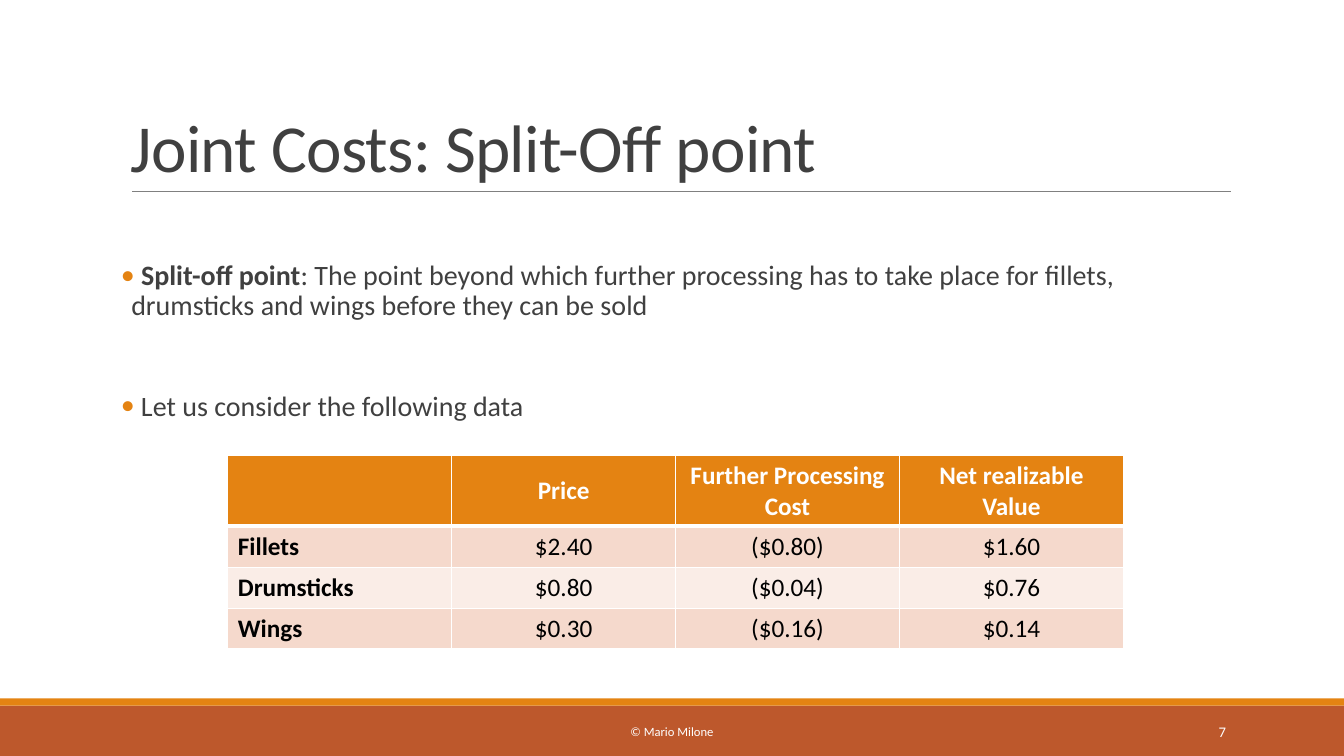
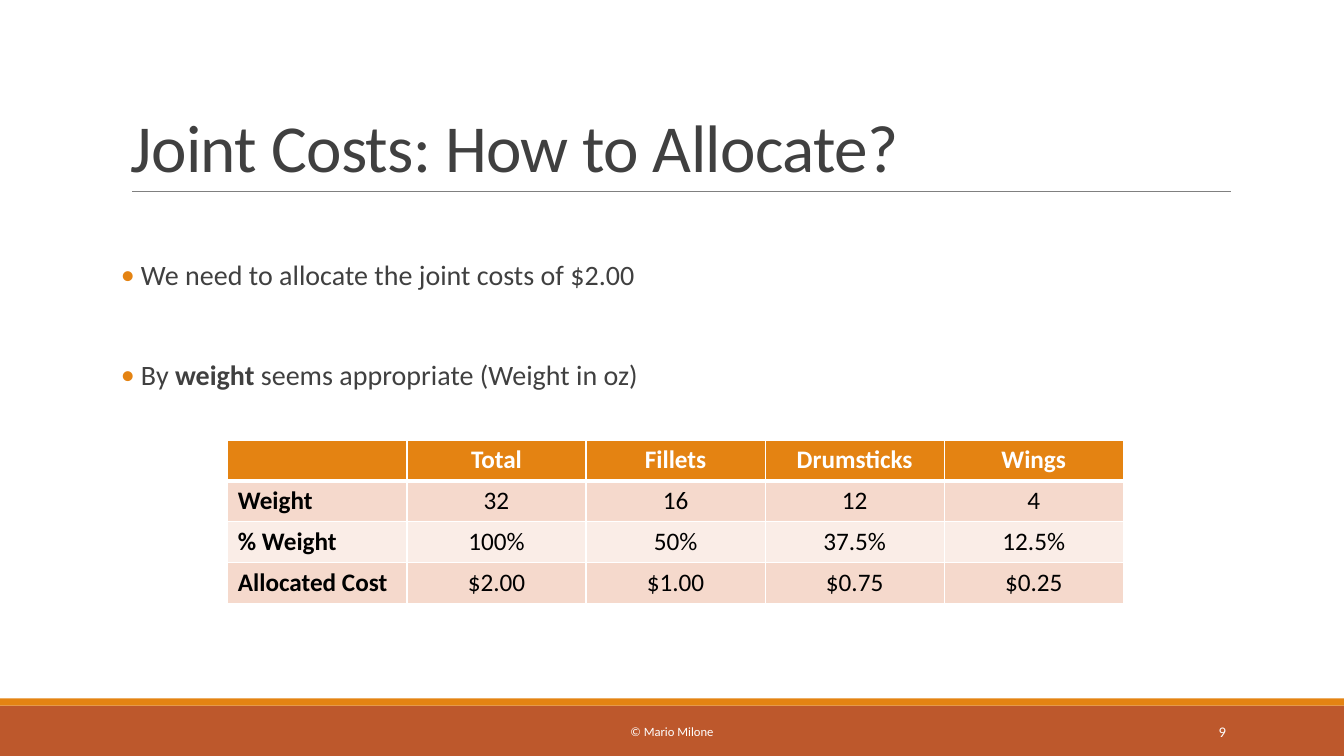
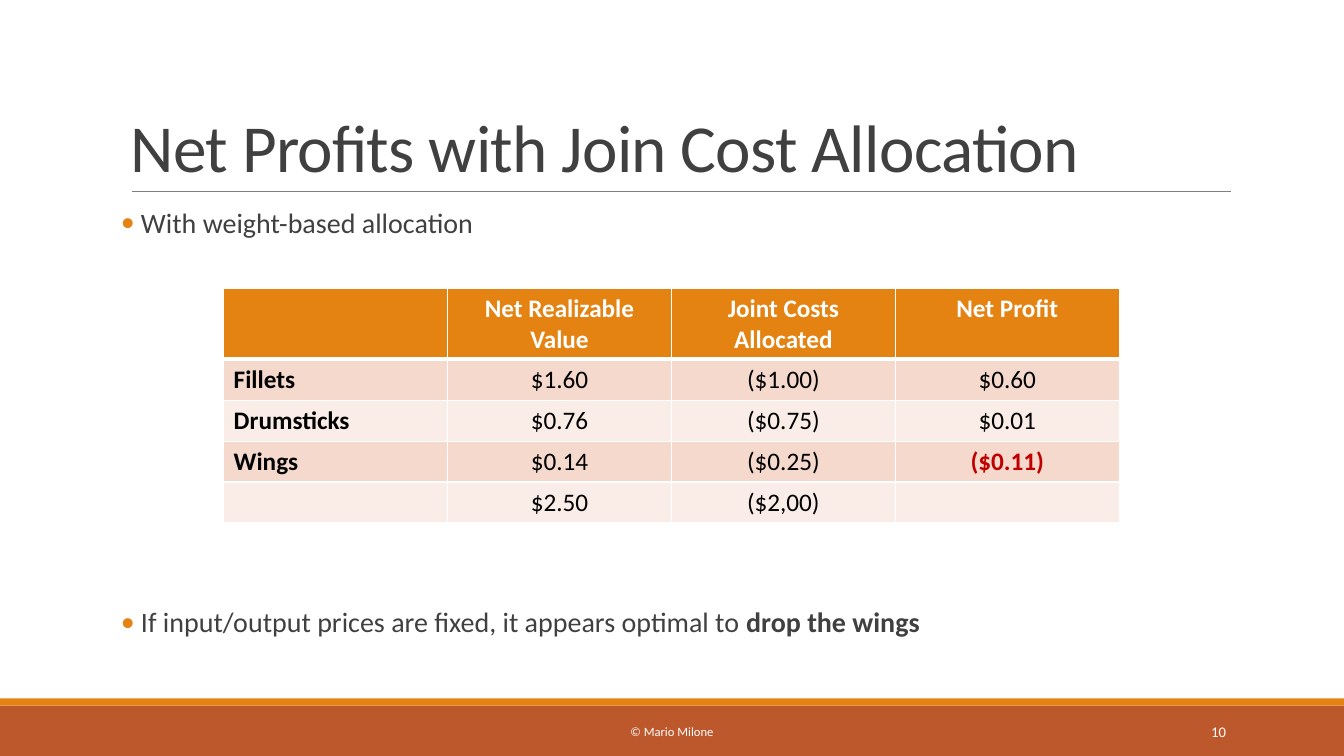
"""Builds three slides on joint costs, each with bullets and a table."""
from lxml.etree import SubElement
from pptx import Presentation
from pptx.dml.color import RGBColor
from pptx.enum.shapes import MSO_CONNECTOR, MSO_SHAPE
from pptx.enum.text import MSO_ANCHOR, MSO_AUTO_SIZE, PP_ALIGN
from pptx.oxml.ns import qn
from pptx.util import Emu, Pt

PX = 9525
FONT = "Calibri"
ORANGE, RUST, GRAY, INK = "E48312", "BD582C", "808080", "404040"
WHITE, BLACK, RED = "FFFFFF", "000000", "C00000"
BANDS = ("F5D9CC", "FAEDE7")
TABLE_WIDTH, ROW_HEIGHT = 853, 39
BODY_BOTTOM = 616


def px(length):
    return Emu(length * PX)


def color(code):
    return RGBColor.from_string(code)


def style(font, size, code, bold=False):
    font.name, font.size, font.bold = FONT, Pt(size), bold
    font.color.rgb = color(code)


def place(shape, left, top, width, height):
    shape.left, shape.top = px(left), px(top)
    shape.width, shape.height = px(width), px(height)


def add_band(page, top, height, code):
    band = page.shapes.add_shape(MSO_SHAPE.RECTANGLE, 0, px(top), px(1280), px(height))
    band.shadow.inherit = False
    band.fill.solid()
    band.fill.fore_color.rgb = color(code)
    band.line.fill.background()


def add_rule(page):
    rule = page.shapes.add_connector(
        MSO_CONNECTOR.STRAIGHT, px(126), px(182), px(1172), px(182))
    rule.line.color.rgb = color(GRAY)
    rule.line.width = Pt(0.5)
    SubElement(rule._element.spPr, qn("a:effectLst"))


def add_footer(page, left, width, text, size, alignment):
    box = page.shapes.add_textbox(px(left), px(678), px(width), px(38))
    frame = box.text_frame
    frame.word_wrap = True
    frame.vertical_anchor = MSO_ANCHOR.MIDDLE
    para = frame.paragraphs[0]
    para.text = text
    para.alignment = alignment
    style(para.font, size, WHITE)


def set_title(page, text):
    title = page.shapes.title
    place(title, 115, 30, 1056, 152)
    frame = title.text_frame
    frame.auto_size = MSO_AUTO_SIZE.NONE
    frame.vertical_anchor = MSO_ANCHOR.BOTTOM
    para = frame.paragraphs[0]
    para.alignment = PP_ALIGN.LEFT
    para.line_spacing = 0.85
    style(para.font, 48, INK)
    span = para.add_run()
    span.text = text
    span._r.get_or_add_rPr().set("spc", "-50")


def add_bullet(para):
    properties = para._p.get_or_add_pPr()
    properties.set("marL", str(px(10)))
    properties.set("indent", str(px(-10)))
    SubElement(SubElement(properties, qn("a:buClr")), qn("a:srgbClr")).set("val", ORANGE)
    SubElement(properties, qn("a:buFont")).set("typeface", FONT)
    SubElement(properties, qn("a:buChar")).set("char", "•")


def set_bullets(page, top, gap, items):
    body = page.placeholders[1]
    place(body, 115, top, 1056, BODY_BOTTOM - top)
    frame = body.text_frame
    frame.auto_size = MSO_AUTO_SIZE.NONE
    frame.margin_left = frame.margin_right = 0
    frame.margin_top = frame.margin_bottom = px(5)
    for index, spans in enumerate(items):
        para = frame.add_paragraph() if index else frame.paragraphs[0]
        add_bullet(para)
        para.line_spacing = 0.9
        para.space_before = Pt(gap if index else 0)
        para.space_after = Pt(2)
        style(para.font, 20, INK)
        for text, bold in spans:
            span = para.add_run()
            span.text = text
            span.font.bold = bold


def add_borders(cell, row):
    properties = cell._tc.get_or_add_tcPr()
    widths = {"lnL": 1, "lnR": 1, "lnT": 3 if row == 1 else 1, "lnB": 1 if row else 3}
    for side, width in widths.items():
        line = SubElement(properties, qn(f"a:{side}"), w=str(Pt(width)))
        SubElement(SubElement(line, qn("a:solidFill")), qn("a:srgbClr")).set("val", WHITE)


def fill_cell(cell, text, row, column):
    add_borders(cell, row)
    cell.fill.solid()
    cell.fill.fore_color.rgb = color(BANDS[(row - 1) % 2] if row else ORANGE)
    para = cell.text_frame.paragraphs[0]
    para.text = text
    loss = text == "($0.11)"
    para.alignment = PP_ALIGN.CENTER if column or not row else PP_ALIGN.LEFT
    code = RED if loss else BLACK if row else WHITE
    style(para.font, 18, code, loss or not row or not column)


def add_data_table(page, left, top, header_height, rows, header_anchor=MSO_ANCHOR.TOP):
    count = len(rows[0])
    height = header_height + ROW_HEIGHT * (len(rows) - 1)
    table = page.shapes.add_table(
        len(rows), count, px(left), px(top), px(TABLE_WIDTH), px(height)).table
    for column in table.columns:
        column.width = px(TABLE_WIDTH) // count
    for row, texts in enumerate(rows):
        table.rows[row].height = px(ROW_HEIGHT if row else header_height)
        for column, text in enumerate(texts):
            fill_cell(table.cell(row, column), text, row, column)
    for cell in table.rows[0].cells:
        cell.vertical_anchor = header_anchor


def add_page(deck, title, number):
    page = deck.slides.add_slide(deck.slide_layouts[1])
    add_band(page, 672, 48, RUST)
    add_band(page, 665, 7, ORANGE)
    add_rule(page)
    set_title(page, title)
    add_footer(page, 387, 506, "© Mario Milone", 9, PP_ALIGN.CENTER)
    add_footer(page, 1040, 137, number, 10.5, PP_ALIGN.RIGHT)
    return page


def main():
    deck = Presentation()
    deck.slide_width, deck.slide_height = px(1280), px(720)

    page = add_page(deck, "Joint Costs: Split-Off point", "7")
    set_bullets(page, 244, 48, [
        [(" ", False), ("Split-off point", True),
         (": The point beyond which further processing has to take place for fillets, "
          "drumsticks and wings before they can be sold", False)],
        [(" Let us consider the following data", False)],
    ])
    add_data_table(page, 217, 434, 67, [
        ("", "Price", "Further Processing Cost", "Net realizable Value"),
        ("Fillets", "$2.40", "($0.80)", "$1.60"),
        ("Drumsticks", "$0.80", "($0.04)", "$0.76"),
        ("Wings", "$0.30", "($0.16)", "$0.14"),
    ], MSO_ANCHOR.MIDDLE)

    page = add_page(deck, "Joint Costs: How to Allocate?", "9")
    set_bullets(page, 244, 48, [
        [(" We need to allocate the joint costs of $2.00", False)],
        [(" By ", False), ("weight", True), (" seems appropriate (Weight in oz)", False)],
    ])
    add_data_table(page, 217, 419, ROW_HEIGHT, [
        ("", "Total", "Fillets", "Drumsticks", "Wings"),
        ("Weight", "32", "16", "12", "4"),
        ("% Weight", "100%", "50%", "37.5%", "12.5%"),
        ("Allocated Cost", "$2.00", "$1.00", "$0.75", "$0.25"),
    ])

    page = add_page(deck, "Net Profits with Join Cost Allocation", "10")
    set_bullets(page, 194, 261.5, [
        [(" With weight-based allocation", False)],
        [(" If input/output prices are fixed, it appears optimal to ", False),
         ("drop the wings", True)],
    ])
    add_data_table(page, 213, 275, 67, [
        ("", "Net Realizable Value", "Joint Costs Allocated", "Net Profit"),
        ("Fillets", "$1.60", "($1.00)", "$0.60"),
        ("Drumsticks", "$0.76", "($0.75)", "$0.01"),
        ("Wings", "$0.14", "($0.25)", "($0.11)"),
        ("", "$2.50", "($2,00)", ""),
    ])

    deck.save("out.pptx")


if __name__ == "__main__":
    main()
